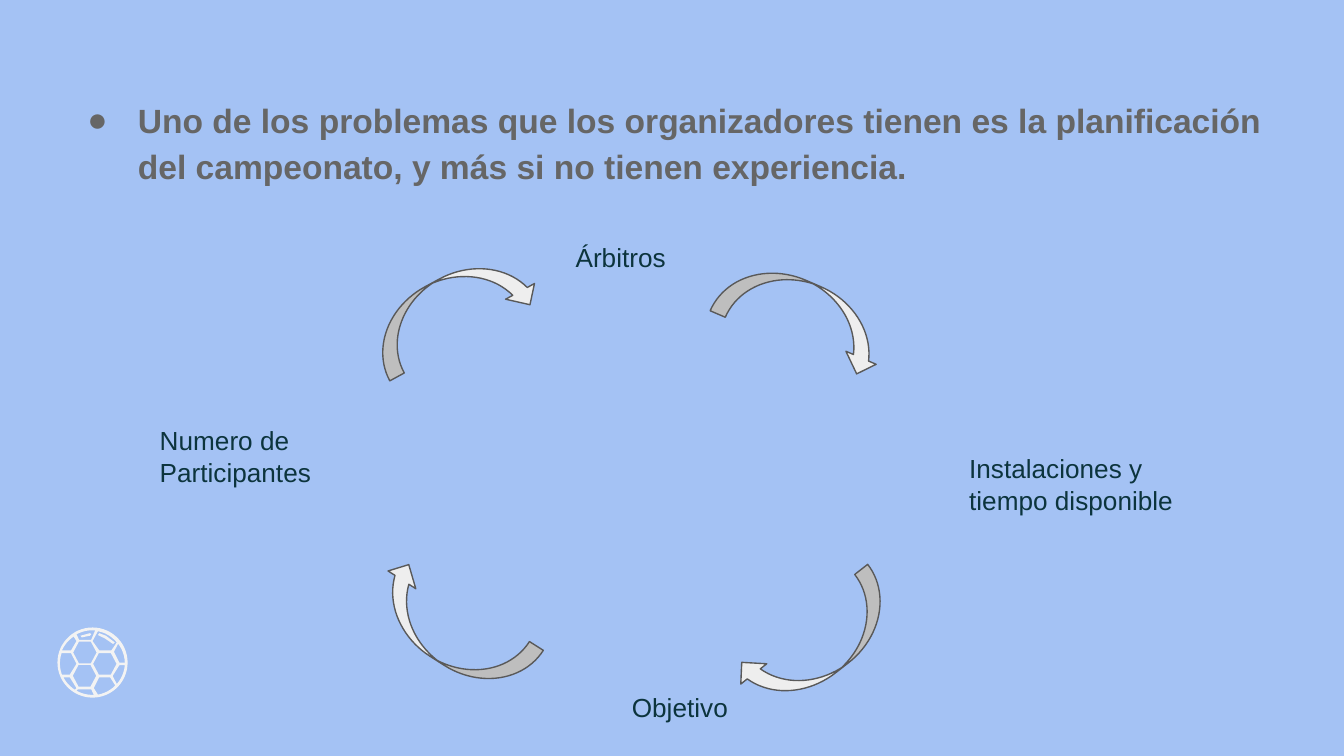
import math

from lxml import etree
from pptx import Presentation
from pptx.dml.color import RGBColor
from pptx.enum.shapes import MSO_SHAPE
from pptx.enum.text import MSO_ANCHOR, MSO_AUTO_SIZE
from pptx.oxml.ns import qn
from pptx.util import Pt

CURVED_ARROW = MSO_SHAPE.CURVED_DOWN_ARROW
TOP = MSO_ANCHOR.TOP
FIT_SHAPE = MSO_AUTO_SIZE.SHAPE_TO_FIT_TEXT
NO_FIT = MSO_AUTO_SIZE.NONE

COLORS = {
    "background": "A4C2F4",
    "statement": "666666",
    "label": "0C343D",
    "arrow": "EEEEEE",
    "arrow_line": "595959",
    "ball": "F3F3F3",
}
FONT = "Arial"
INSET = 7.2

STATEMENT = ("Uno de los problemas que los organizadores tienen es la "
             "planificación del campeonato, y más si no tienen experiencia.")

# Text, left, top, width, height
LABELS = [
    ("Numero de Participantes", 78.5, 220.3, 105.1, 48.2),
    ("Árbitros", 301.3, 122, 74.2, 31.7),
    ("Instalaciones y tiempo disponible", 512.1, 235.4, 131, 48.2),
    ("Objetivo", 331.4, 363.2, 66.2, 31.7),
]

# Left, top, rotation
ARROWS = [
    (194.7, 148.4, 331.5),
    (391.3, 327.6, 142.1),
    (383.6, 151.3, 23.3),
    (194.7, 320.3, 212.5),
]
ARROW_SIZE = (94.3, 35.3)

# Ball geometry, measured from the ball's centre
BALL_CENTER = (49.6, 355)
BALL_RADIUS = 18.8
RIM_STEPS = 60
ARC_STEPS = 6
HEXAGON_CENTERS = [(-4.1, -5.4), (6.6, 0.7), (-4.3, 7.1)]
HEXAGON_CORNERS = [(6.3, 0), (3.2, 5.8), (-3.2, 5.8),
                   (-6.3, 0), (-3.2, -5.8), (3.2, -5.8)]
# Cells along the rim: an arc closes each from its last point to its first
RIM_CELLS = [
    [(1.4, -17.2), (-0.7, -12.2), (-7.2, -12.2), (-8.6, -15.1)],
    [(13, -10.8), (10.1, -6.5), (3.6, -6.5), (0, -11.5), (2.9, -16.8)],
    [(-10.1, -13.9), (-8.6, -11.5), (-11.5, -6.5), (-16.4, -6.5)],
    [(17.3, 0), (14.4, 0), (11.5, -5.8), (13.7, -10.1)],
    [(-16.6, -5), (-11.5, -5), (-8.6, 0.7), (-12.2, 6.5), (-16.4, 6.5)],
    [(13, 11.5), (10.8, 7.2), (14.4, 1.4), (17.3, 1.4)],
    [(-15.6, 7.9), (-12.2, 7.9), (-8.6, 13.7), (-9.4, 14.6)],
    [(2.9, 17.2), (0.7, 13.7), (3.6, 7.9), (9.4, 7.9), (12.2, 12.3)],
    [(-8.6, 15.1), (-7.9, 14.4), (-0.7, 14.4), (0.7, 17.3)],
]
HIGHLIGHTS = [
    [(3.6, -15.8), (7.2, -14.4), (11.9, -10.8), (11, -10), (6.5, -13),
     (2.9, -14.8)],
    [(-6.5, -14.4), (-1.4, -15.8), (-0.7, -15.1), (-1.4, -14.4),
     (-5.8, -13.5)],
]


def rgb(name):
    return RGBColor.from_string(COLORS[name])


def set_fill(shape, color):
    shape.shadow.inherit = False
    shape.fill.solid()
    shape.fill.fore_color.rgb = rgb(color)


def add_text(page, text, place, color, size, bold=False, fit=FIT_SHAPE):
    box = page.shapes.add_textbox(*map(Pt, place))
    frame = box.text_frame
    settings = {"word_wrap": True, "auto_size": fit, "vertical_anchor": TOP}
    settings.update({f"margin_{side}": Pt(INSET)
                     for side in ("left", "top", "right", "bottom")})
    for name, value in settings.items():
        setattr(frame, name, value)
    para = frame.paragraphs[0]
    span = para.add_run()
    span.text = text
    for name, value in {"name": FONT, "size": Pt(size), "bold": bold}.items():
        setattr(span.font, name, value)
    span.font.color.rgb = rgb(color)
    return para


def add_bullet(para, color, indent, hanging):
    properties = para._p.get_or_add_pPr()
    properties.set("marL", str(Pt(indent)))
    properties.set("indent", str(-Pt(hanging)))
    bullet_color = etree.SubElement(properties, qn("a:buClr"))
    etree.SubElement(bullet_color, qn("a:srgbClr"), val=COLORS[color])
    etree.SubElement(properties, qn("a:buFont"), typeface=FONT)
    etree.SubElement(properties, qn("a:buChar"), char="●")


def add_curved_arrow(page, left, top, rotation):
    arrow = page.shapes.add_shape(
        CURVED_ARROW, *map(Pt, (left, top, *ARROW_SIZE)))
    for index, value in enumerate((0.25, 0.5, 0.25)):
        arrow.adjustments[index] = value
    arrow.rotation = rotation
    set_fill(arrow, "arrow")
    arrow.line.color.rgb = rgb("arrow_line")
    arrow.line.width = Pt(0.75)


def polar(radius, angle):
    return radius * math.cos(angle), radius * math.sin(angle)


def close_with_arc(points):
    """Add the points of an arc about the ball's centre, last to first."""
    (x1, y1), (x2, y2) = points[-1], points[0]
    start, radius = math.atan2(y1, x1), math.hypot(x1, y1)
    sweep = math.remainder(math.atan2(y2, x2) - start, math.tau)
    growth = math.hypot(x2, y2) - radius
    shares = [step / ARC_STEPS for step in range(1, ARC_STEPS)]
    return points + [polar(radius + growth * share, start + sweep * share)
                     for share in shares]


def add_ball_part(group, outlines):
    """Draw one filled shape; inner outlines become holes."""
    builder = None
    for outline in outlines:
        start, *rest = [(Pt(BALL_CENTER[0] + x), Pt(BALL_CENTER[1] + y))
                        for x, y in outline]
        if builder is None:
            builder = group.shapes.build_freeform(*start)
        else:
            builder.move_to(*start)
        builder.add_line_segments(rest, close=True)
    part = builder.convert_to_shape()
    set_fill(part, "ball")
    part.line.fill.background()


def add_ball(page):
    group = page.shapes.add_group_shape()
    rim = [polar(BALL_RADIUS, math.tau * step / RIM_STEPS)
           for step in range(RIM_STEPS)]
    hexagons = [[(x + dx, y + dy) for dx, dy in HEXAGON_CORNERS]
                for x, y in HEXAGON_CENTERS]
    rim_cells = [close_with_arc(cell) for cell in RIM_CELLS]
    add_ball_part(group, [rim, *hexagons, *rim_cells])
    for highlight in HIGHLIGHTS:
        add_ball_part(group, [highlight])


def main():
    deck = Presentation()
    deck.slide_width, deck.slide_height = Pt(720), Pt(405)
    page = deck.slides.add_slide(deck.slide_layouts[6])
    page.background.fill.solid()
    page.background.fill.fore_color.rgb = rgb("background")

    # Opening statement
    para = add_text(page, STATEMENT, (30.8, 43, 662.4, 315.4),
                    "statement", 18, bold=True, fit=NO_FIT)
    para.line_spacing = 1.15
    add_bullet(para, "statement", indent=36, hanging=27)

    # Cycle of planning factors
    for text, *place in LABELS:
        add_text(page, text, place, "label", 14)
    for arrow in ARROWS:
        add_curved_arrow(page, *arrow)

    # Football icon
    add_ball(page)

    deck.save("out.pptx")


if __name__ == "__main__":
    main()
